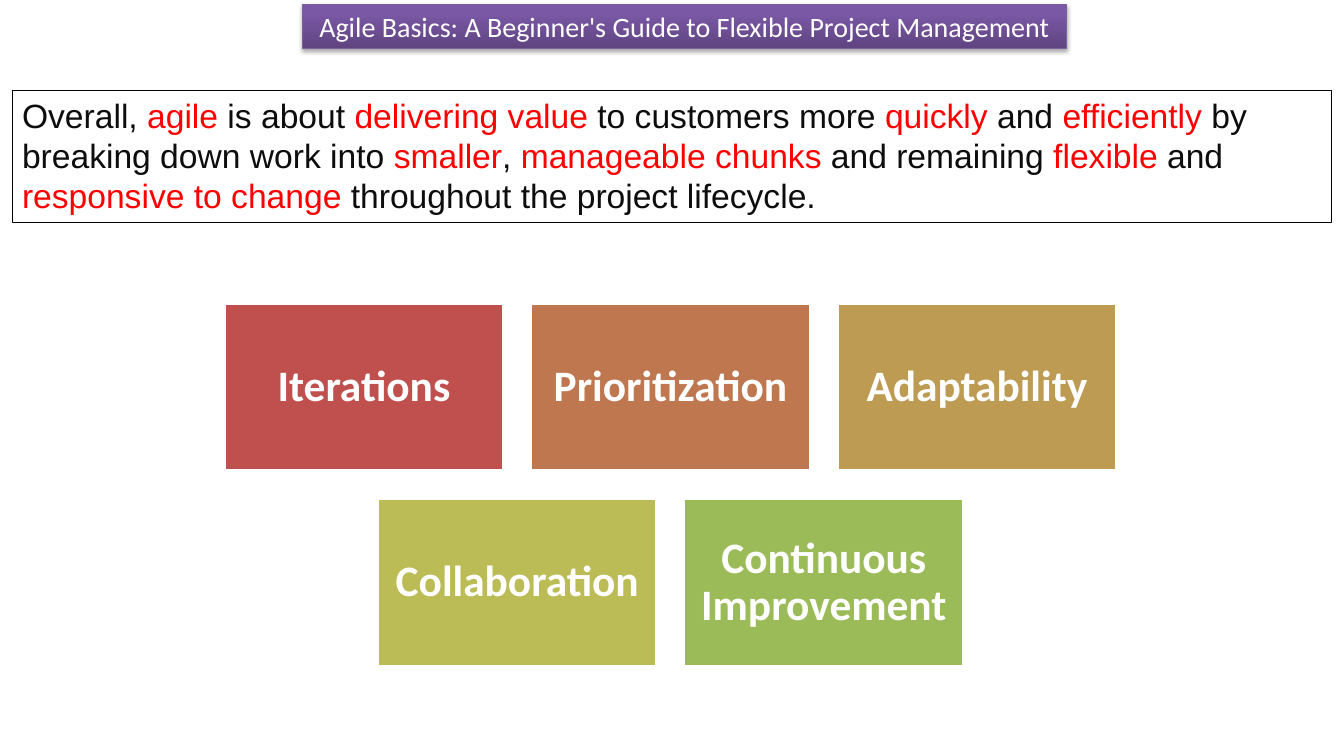
from dataclasses import dataclass

import pptx
import pptx.dml.color
import pptx.enum.shapes
import pptx.enum.text
import pptx.oxml
import pptx.oxml.ns
import pptx.util

Inches = pptx.util.Inches
Pt = pptx.util.Pt
Align = pptx.enum.text.PP_ALIGN
Anchor = pptx.enum.text.MSO_ANCHOR

WHITE, BLACK, INK, RED = "FFFFFF", "000000", "0D0D0D", "FF0000"
CARD_W, CARD_H, GAP = 2.77, 1.66, 0.27
MID, TOP, PITCH = 6.65, 3.01, 1.94

# Text between asterisks is red.
SUMMARY = [
    "Overall, *agile* is about *delivering value *to customers more *quickly* and *efficiently* by",
    "breaking down work into *smaller*, *manageable chunks *and remaining *flexible* and "
    "*responsive* *to* *change* throughout the project lifecycle.",
]


@dataclass
class Card:
    label: str
    fill: str


ROWS = [
    [Card("Iterations", "C0504D"), Card("Prioritization", "BF7750"), Card("Adaptability", "BD9B53")],
    [Card("Collaboration", "BCBC56"), Card("Continuous Improvement", "9BBB59")],
]


def color(code: str) -> pptx.dml.color.RGBColor:
    return pptx.dml.color.RGBColor.from_string(code)


def add_run(para, text: str, size: float, font: str, code: str, bold: bool = False) -> None:
    run = para.add_run()
    run.text = text
    run.font.size = Pt(size)
    run.font.name = font
    run.font.bold = bold
    run.font.color.rgb = color(code)


def add_box(slide, left: float, top: float, width: float, height: float,
            fill: str, edge: str, weight: float):
    box = slide.shapes.add_shape(pptx.enum.shapes.MSO_SHAPE.RECTANGLE,
                                 Inches(left), Inches(top), Inches(width), Inches(height))
    box.shadow.inherit = False
    box.fill.solid()
    box.fill.fore_color.rgb = color(fill)
    box.line.color.rgb = color(edge)
    box.line.width = Pt(weight)
    box.text_frame.word_wrap = True
    return box


def add_style(shape) -> None:
    """Give the shape a purple gradient and a soft shadow below."""
    space = pptx.oxml.ns.nsdecls("a")
    stops = "".join(f'<a:gs pos="{pos * 1000}"><a:srgbClr val="{code}"/></a:gs>'
                    for pos, code in [(0, "5F4480"), (80, "7B58A6"), (100, "7C57A8")])
    props = shape._element.spPr
    props.append(pptx.oxml.parse_xml(
        f'<a:gradFill {space} rotWithShape="1"><a:gsLst>{stops}</a:gsLst>'
        '<a:lin ang="16200000" scaled="0"/></a:gradFill>'))
    shape.line.color.rgb = color("7D60A0")
    shape.line.width = Pt(0.75)
    props.append(pptx.oxml.parse_xml(
        f'<a:effectLst {space}><a:outerShdw blurRad="{Pt(3.1)}" dist="{Pt(1.8)}" dir="5400000" '
        f'rotWithShape="0"><a:srgbClr val="{BLACK}"><a:alpha val="35000"/></a:srgbClr>'
        '</a:outerShdw></a:effectLst>'))


def set_title(slide) -> None:
    title = slide.shapes.title
    title.left, title.top = Inches(3), Inches(0.04)
    title.width, title.height = Inches(7.58), Inches(0.44)
    add_style(title)
    frame = title.text_frame
    frame.auto_size = pptx.enum.text.MSO_AUTO_SIZE.NONE
    frame.vertical_anchor = Anchor.TOP
    para = frame.paragraphs[0]
    para.alignment = Align.CENTER
    add_run(para, "Agile Basics: A Beginner's Guide to Flexible Project Management",
            20, "Calibri", WHITE)


def add_summary(slide) -> None:
    frame = add_box(slide, 0.12, 0.89, 13.08, 1.31, WHITE, BLACK, 0.25).text_frame
    frame.vertical_anchor = Anchor.TOP
    for row, line in enumerate(SUMMARY):
        para = frame.add_paragraph() if row else frame.paragraphs[0]
        para.alignment = Align.LEFT
        for part, text in enumerate(line.split("*")):
            if text:
                add_run(para, text, 24, "Arial", RED if part % 2 else INK)


def add_card(slide, card: Card, left: float, top: float) -> None:
    frame = add_box(slide, left, top, CARD_W, CARD_H, card.fill, WHITE, 2).text_frame
    frame.vertical_anchor = Anchor.MIDDLE
    frame.margin_left = frame.margin_right = Inches(0.13)
    frame.margin_top = frame.margin_bottom = Inches(0.13)
    para = frame.paragraphs[0]
    para.alignment = Align.CENTER
    para.line_spacing = 0.9
    add_run(para, card.label, 31, "Calibri", WHITE, bold=True)


def main() -> None:
    deck = pptx.Presentation()
    deck.slide_width, deck.slide_height = Inches(13.33), Inches(7.5)
    slide = deck.slides.add_slide(deck.slide_layouts[5])
    set_title(slide)
    add_summary(slide)
    for row, cards in enumerate(ROWS):
        span = len(cards) * (CARD_W + GAP) - GAP
        for col, card in enumerate(cards):
            add_card(slide, card, MID - span / 2 + col * (CARD_W + GAP), TOP + row * PITCH)
    deck.save("out.pptx")


if __name__ == "__main__":
    main()
